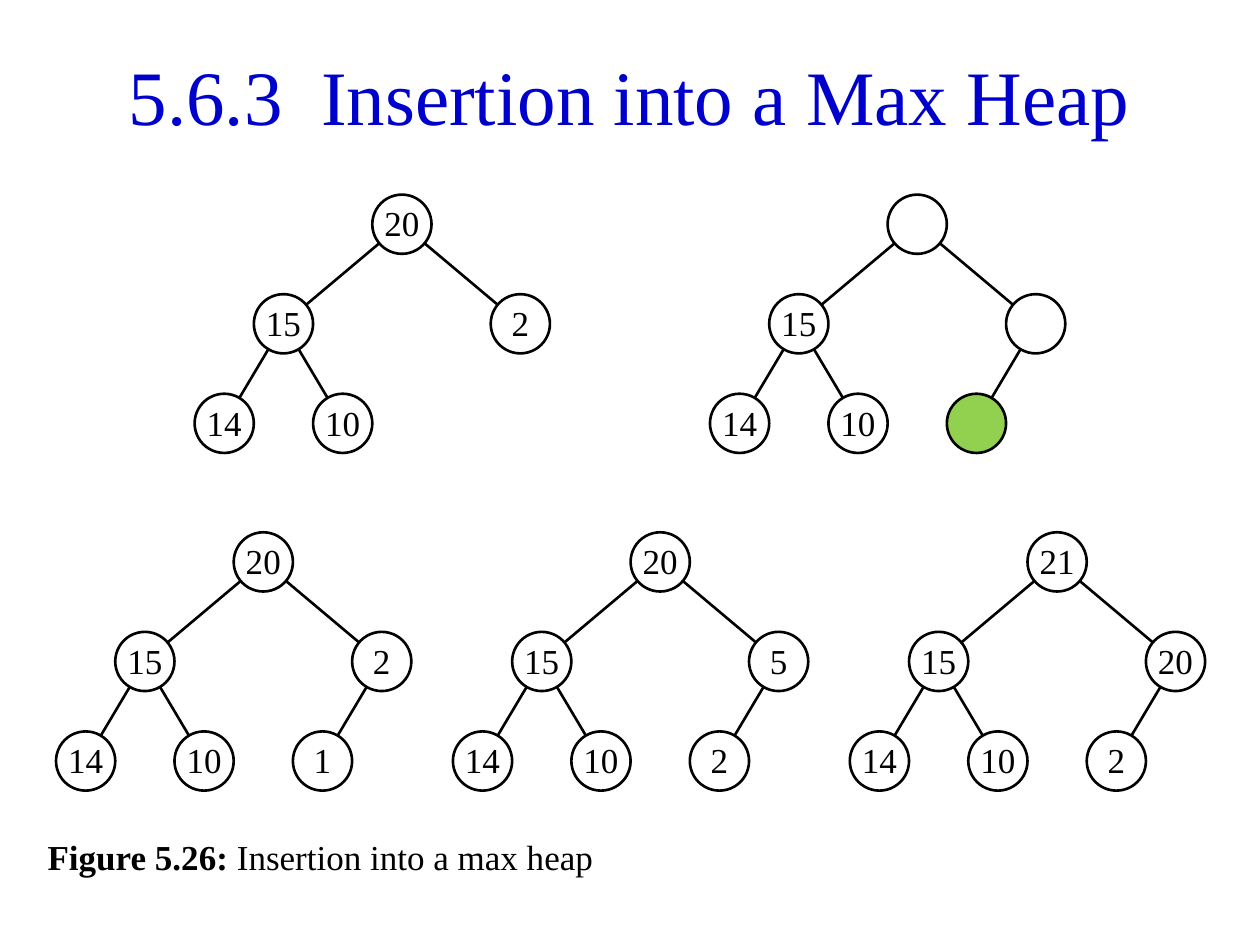
from pptx import Presentation
from pptx.dml.color import RGBColor
from pptx.enum.shapes import MSO_CONNECTOR, MSO_SHAPE
from pptx.enum.text import MSO_ANCHOR, PP_ALIGN
from pptx.oxml.ns import qn
from pptx.util import Inches, Pt

STRAIGHT = MSO_CONNECTOR.STRAIGHT
CIRCLE = MSO_SHAPE.OVAL
MIDDLE, BOTTOM = MSO_ANCHOR.MIDDLE, MSO_ANCHOR.BOTTOM
CENTER = PP_ALIGN.CENTER

BLUE = RGBColor(0x00, 0x00, 0xCC)
BLACK = RGBColor(0x00, 0x00, 0x00)
WHITE = RGBColor(0xFF, 0xFF, 0xFF)
GREEN = RGBColor(0x92, 0xD0, 0x50)
FONT = "Times New Roman"

# Nodes are one column wide; levels are one row apart.
COLUMN, ROW = 0.47, 0.79
# (columns from the root, rows below it), in heap order
NODE_CELLS = [(0, 0), (-2, 1), (2, 1), (-3, 2), (-1, 2), (1, 2)]

UPPER_Y, LOWER_Y = 1.78, 4.46
LOWER_X, LOWER_STEP = 2.09, 3.15
# (root centre x, root centre y, values in heap order)
HEAPS = [
    (3.19, UPPER_Y, ["20", "15", "2", "14", "10"]),
    (7.28, UPPER_Y, ["", "15", "", "14", "10", ""]),
] + [
    (LOWER_X + i * LOWER_STEP, LOWER_Y, values)
    for i, values in enumerate([
        ["20", "15", "2", "14", "10", "1"],
        ["20", "15", "5", "14", "10", "2"],
        ["21", "15", "20", "14", "10", "2"],
    ])
]
NEW_NODE = (1, 5)  # heap and node where the empty place opens


def set_all(target, values):
    for name, value in values.items():
        setattr(target, name, value)


def add_span(para, text, size=20, color=BLACK, bold=False):
    span = para.add_run()
    span.text = text
    set_all(span.font, {"name": FONT, "size": Pt(size), "bold": bold})
    span.font.color.rgb = color


def add_title(page, text):
    title = page.shapes.title
    set_all(title, {"left": Inches(0.27), "top": Inches(0.28),
                    "width": Inches(9.45), "height": Inches(0.94)})
    title.text_frame.vertical_anchor = MIDDLE
    para = title.text_frame.paragraphs[0]
    para.alignment = CENTER
    add_span(para, text, 44, BLUE)


def add_caption(page, label, text):
    box = page.shapes.add_textbox(Inches(0.28), Inches(6.58), Inches(4.57), Inches(0.47))
    box.text_frame.word_wrap = True
    para = box.text_frame.paragraphs[0]
    para.space_before = Pt(4)
    add_span(para, label, bold=True)
    add_span(para, text)


def add_edge(page, start, end):
    edge = page.shapes.add_connector(STRAIGHT, *map(Inches, start + end))
    edge.line.color.rgb = BLACK
    edge.line.width = Pt(1.5)
    properties = edge._element.spPr
    properties.append(properties.makeelement(qn("a:effectLst"), {}))


def add_node(page, center, value, fill):
    x, y = center
    size = Inches(COLUMN)
    node = page.shapes.add_shape(
        CIRCLE, Inches(x - COLUMN / 2), Inches(y - COLUMN / 2), size, size)
    node.shadow.inherit = False
    node.fill.solid()
    node.fill.fore_color.rgb = fill
    node.line.color.rgb = BLACK
    node.line.width = Pt(1.5)
    if value:
        frame = node.text_frame
        set_all(frame, {"margin_left": 0, "margin_right": 0, "margin_top": 0,
                        "margin_bottom": Inches(0.01), "vertical_anchor": BOTTOM,
                        "word_wrap": False})
        frame.paragraphs[0].alignment = CENTER
        add_span(frame.paragraphs[0], value)


def add_heap(page, root_x, root_y, values, green_index=None):
    """Draw the edges first, so that the nodes cover their ends."""
    centers = [(root_x + column * COLUMN, root_y + row * ROW)
               for column, row in NODE_CELLS[:len(values)]]
    for child in range(1, len(centers)):
        add_edge(page, centers[(child - 1) // 2], centers[child])
    for index, (center, value) in enumerate(zip(centers, values)):
        add_node(page, center, value, GREEN if index == green_index else WHITE)


def main():
    deck = Presentation()
    deck.slide_width, deck.slide_height = Inches(10), Inches(7.5)
    page = deck.slides.add_slide(deck.slide_layouts.get_by_name("Title Only"))
    add_title(page, "5.6.3  Insertion into a Max Heap")
    add_caption(page, "Figure 5.26:", " Insertion into a max heap")
    new_heap, new_index = NEW_NODE
    for number, heap in enumerate(HEAPS):
        add_heap(page, *heap, green_index=new_index if number == new_heap else None)
    deck.save("out.pptx")


if __name__ == "__main__":
    main()
